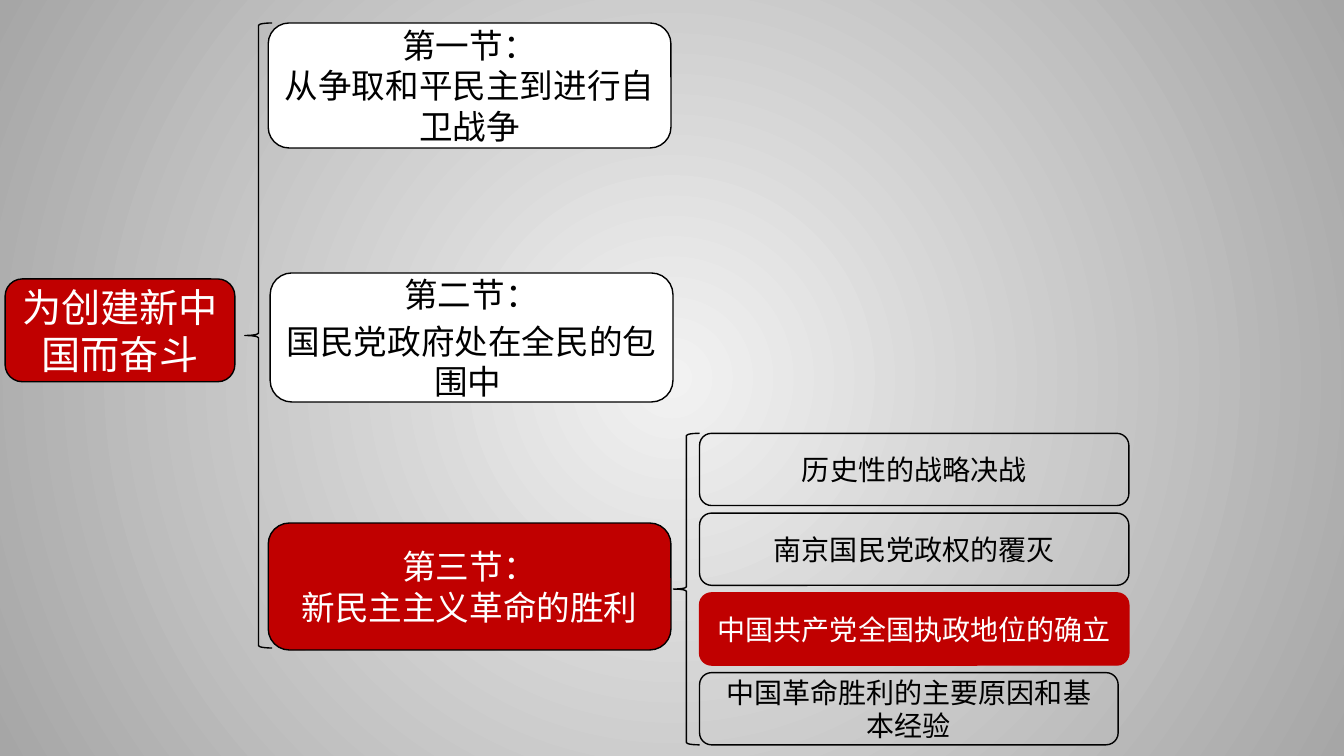
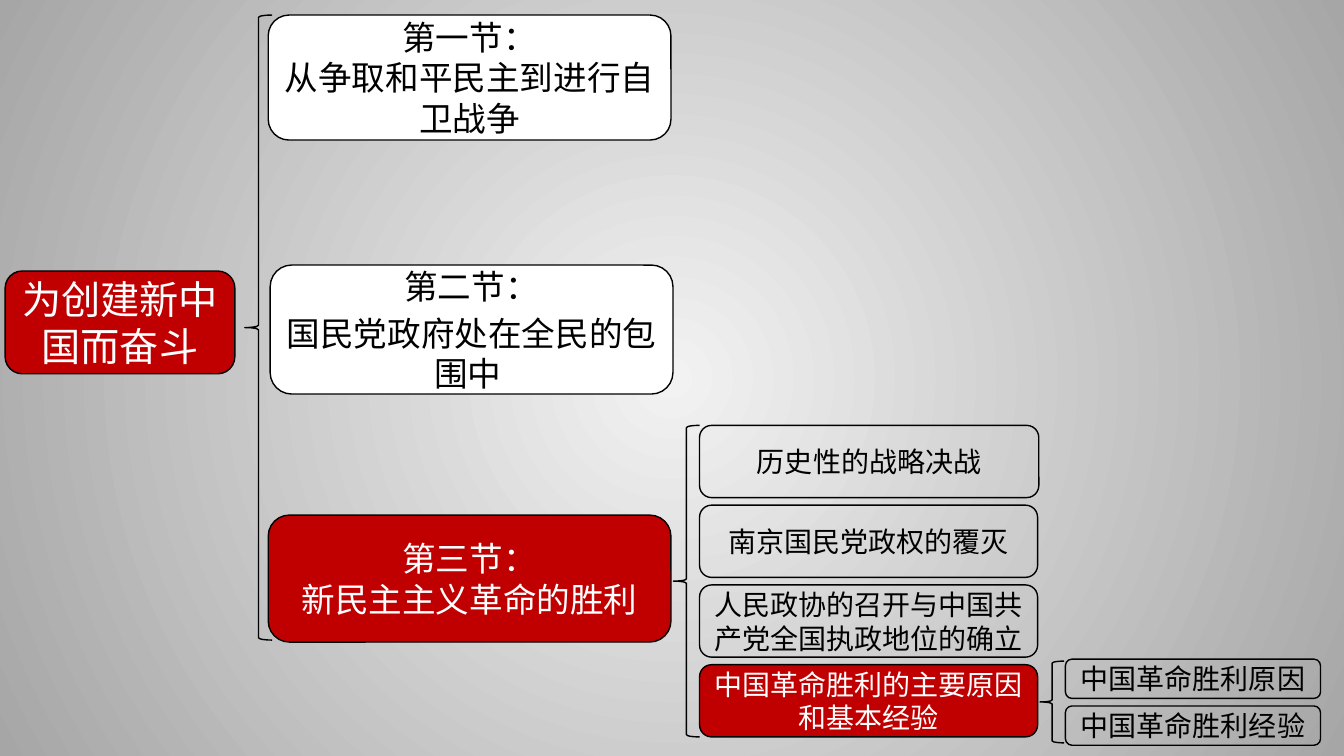
"""Build two chapter outline slides drawn as bracketed trees."""
from lxml import etree
from pptx import Presentation
from pptx.dml.color import RGBColor
from pptx.enum.shapes import MSO_SHAPE
from pptx.enum.text import MSO_ANCHOR, PP_ALIGN
from pptx.oxml.ns import qn
from pptx.util import Cm, Pt

ROUNDED = MSO_SHAPE.ROUNDED_RECTANGLE
BRACE = MSO_SHAPE.LEFT_BRACE
MIDDLE = MSO_ANCHOR.MIDDLE
CENTER = PP_ALIGN.CENTER

FONT = "Noto Sans CJK SC"
COLORS = {"red": "C00000", "white": "FFFFFF", "black": "000000",
          "glow": "F2F2F2", "edge": "A6A6A6"}

STYLES = {
    "paper": ("white", "black", "black"),
    "active": ("red", "black", "white"),
    "solid": ("red", "red", "white"),
    "open": (None, "black", "black"),
}

CHAPTER = "为创建新中国而奋斗"
SECTIONS = [
    (6.76, 3.15, "paper", ["第一节：", "从争取和平民主到进行自卫战争"], 0),
    (6.81, 3.25, "paper", ["第二节：", "国民党政府处在全民的包围中 "], 5),
    (6.76, 3.2, "active", ["第三节：", "新民主主义革命的胜利"], 0),
]
SLIDES = [
    {
        "top": 0.58,
        "topics": [
            ("历史性的战略决战", "open", 10.82),
            ("南京国民党政权的覆灭", "open", 10.82),
            ("中国共产党全国执政地位的确立", "solid", 10.82),
            ("中国革命胜利的主要原因和基本经验", "open", 10.55),
        ],
        "details": [],
    },
    {
        "top": 0.38,
        "topics": [
            ("历史性的战略决战", "open", 8.55),
            ("南京国民党政权的覆灭", "open", 8.52),
            ("人民政协的召开与中国共产党全国执政地位的确立", "open", 8.52),
            ("中国革命胜利的主要原因和基本经验", "active", 8.52),
        ],
        "details": ["中国革命胜利原因", "中国革命胜利经验"],
    },
]
SECTION_STEP, TOPIC_STEP, DETAIL_STEP = 6.3, 2.01, 1.18
TOPIC_OFFSET, DETAIL_OFFSET = 10.34, 16.23


def color(name):
    return RGBColor.from_string(COLORS[name])


def set_background(master):
    fill = master.background.fill
    fill.gradient()
    for stop, name, position in zip(fill.gradient_stops, ("glow", "edge"), (0, 1)):
        stop.color.rgb = color(name)
        stop.position = position
    linear = next(master.element.iter(qn("a:lin")))
    radial = etree.Element(qn("a:path"), path="circle")
    etree.SubElement(radial, qn("a:fillToRect"),
                     {side: "50000" for side in "ltrb"})
    linear.getparent().replace(linear, radial)


def add_outline(page, kind, place, fill, line):
    shape = page.shapes.add_shape(kind, *map(Cm, place))
    shape.shadow.inherit = False
    if fill:
        shape.fill.solid()
        shape.fill.fore_color.rgb = color(fill)
    else:
        shape.fill.background()
    shape.line.color.rgb = color(line)
    shape.line.width = Pt(1)
    return shape


def add_brace(page, *place):
    add_outline(page, BRACE, place, None, "black")


def add_box(page, place, style, lines, size, gap=0):
    fill, line, ink = STYLES[style]
    frame = add_outline(page, ROUNDED, place, fill, line).text_frame
    frame.word_wrap = True
    frame.vertical_anchor = MIDDLE
    for index, text in enumerate(lines):
        para = frame.add_paragraph() if index else frame.paragraphs[0]
        para.alignment = CENTER
        para.space_before = Pt(gap if index else 0)
        span = para.add_run()
        span.text = text
        span.font.size = Pt(size)
        span.font.name = FONT
        span.font.color.rgb = color(ink)
        etree.SubElement(span.font._element, qn("a:ea"), typeface=FONT)


def add_tree(page, top, topics, details):
    add_box(page, (0.13, top + 6.45, 5.79, 2.59), "active", [CHAPTER], 28)

    add_brace(page, 6.17, top, 0.69, 15.75)
    for row, (left, height, style, lines, gap) in enumerate(SECTIONS):
        place = (left, top + row * SECTION_STEP, 10.15, height)
        add_box(page, place, style, lines, 24, gap)

    topic_top = top + TOPIC_OFFSET
    add_brace(page, 16.97, topic_top, 0.66, 7.85)
    for row, (text, style, width) in enumerate(topics):
        place = (17.63, topic_top + row * TOPIC_STEP, width, 1.82)
        add_box(page, place, style, [text], 20)

    detail_top = top + DETAIL_OFFSET
    if details:
        add_brace(page, 26.21, detail_top + 0.05, 0.61, 2.06)
    for row, text in enumerate(details):
        place = (26.85, detail_top + row * DETAIL_STEP, 6.43, 0.99)
        add_box(page, place, "open", [text], 20)


def main():
    deck = Presentation()
    deck.slide_width, deck.slide_height = Cm(33.87), Cm(19.05)
    set_background(deck.slide_master)
    for content in SLIDES:
        page = deck.slides.add_slide(deck.slide_layouts[6])
        add_tree(page, **content)
    deck.save("out.pptx")


if __name__ == "__main__":
    main()
